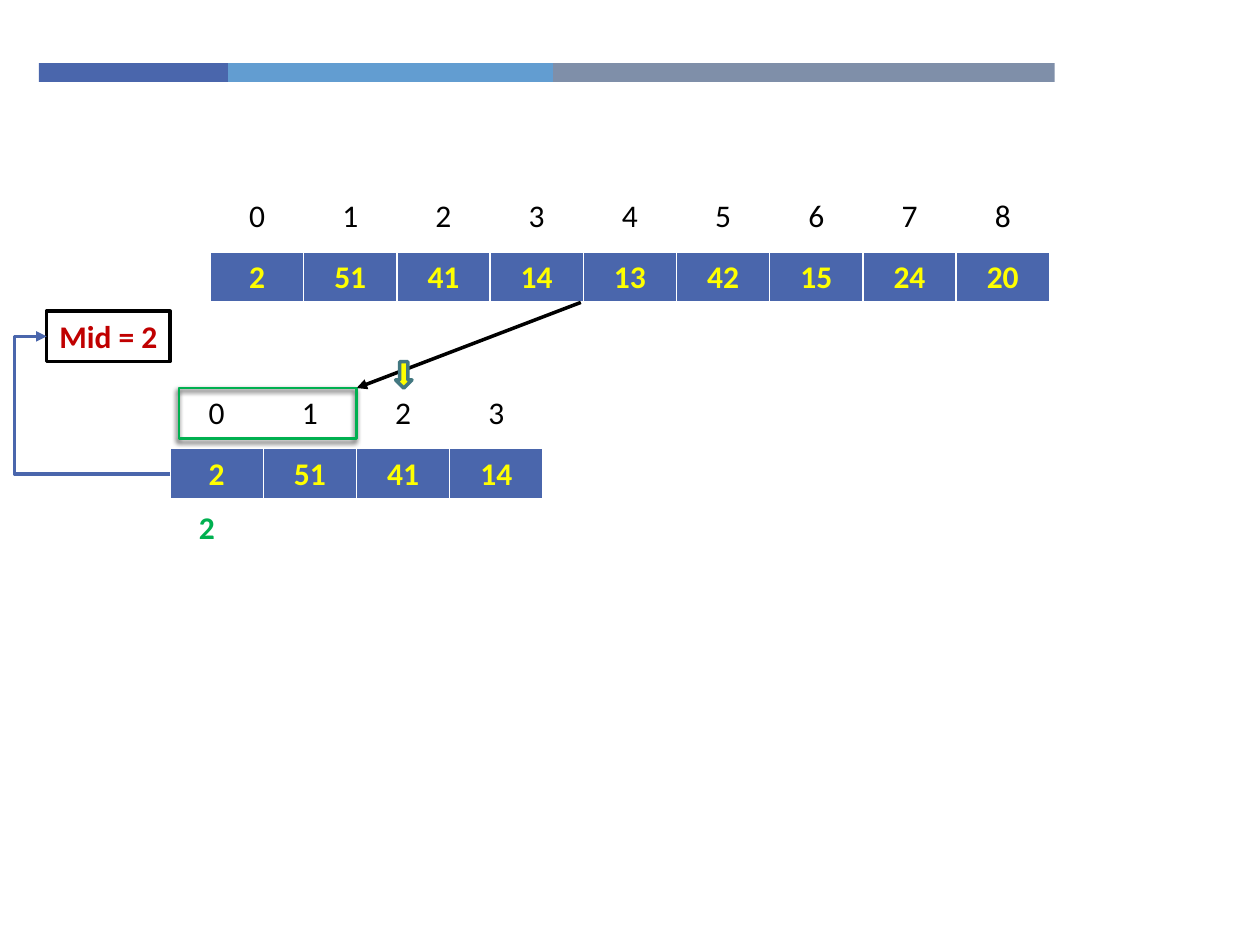
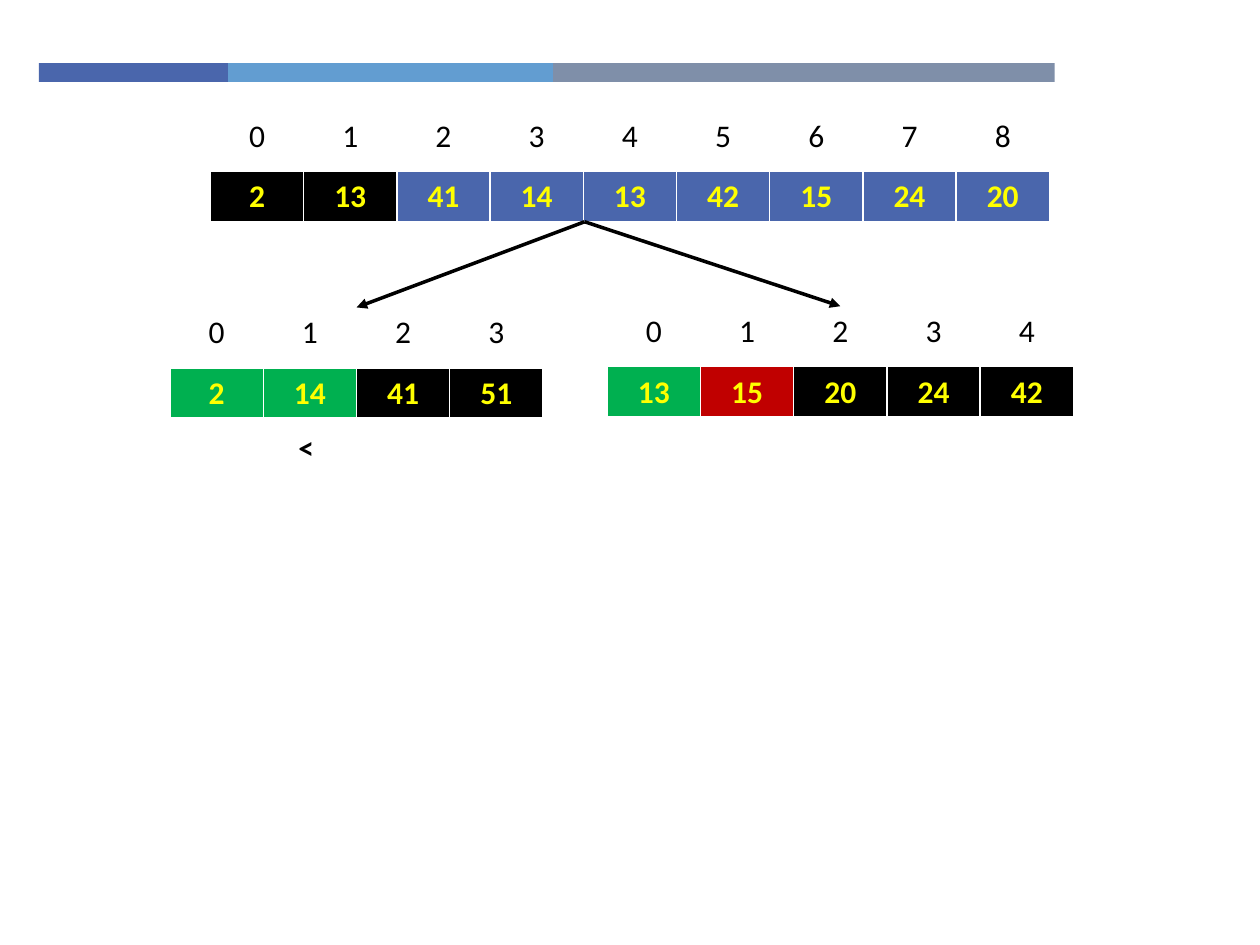
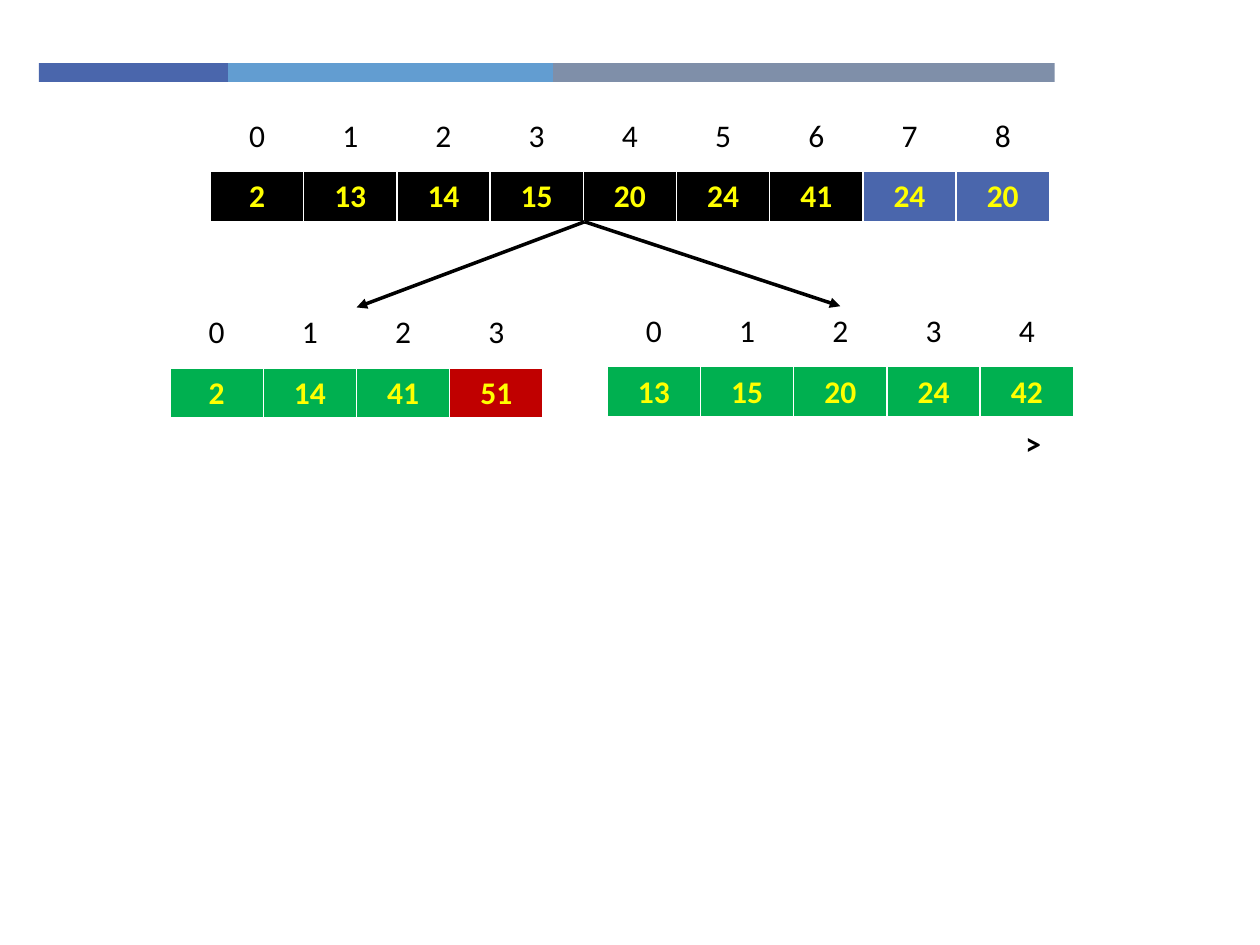
"""Build three slides that trace a merge sort on an array of nine numbers."""
from lxml import etree
from pptx import Presentation, util as u
from pptx.dml.color import RGBColor
from pptx.enum import shapes, text
from pptx.oxml import ns

BLUE = RGBColor(0x4A, 0x66, 0xAC)
SKY = RGBColor(0x62, 0x9D, 0xD1)
SLATE = RGBColor(0x7F, 0x8F, 0xA9)
TEAL = RGBColor(0x43, 0x78, 0x81)
WHITE = RGBColor(0xFF, 0xFF, 0xFF)
BLACK = RGBColor(0x00, 0x00, 0x00)
YELLOW = RGBColor(0xFF, 0xFF, 0x00)
GREEN = RGBColor(0x00, 0xB0, 0x50)
RED = RGBColor(0xC0, 0x00, 0x00)

FONT = "Calibri"
TEXT_SIZE = 18
CELL_WIDTH = 0.74
VALUE_HEIGHT = 0.41
INDEX_HEIGHT = 0.4
INDEX_RISE = 0.48
BAND_LEFT, BAND_TOP, BAND_HEIGHT = 0.31, 0.5, 0.15
BANDS = [(1.5, BLUE), (2.58, SKY), (3.98, SLATE)]
WHOLE_LEFT, LEFT_HALF_LEFT, RIGHT_HALF_LEFT = 1.67, 1.35, 4.82


def child(parent, tag, **attributes):
    return etree.SubElement(parent, ns.qn(tag), attributes)


class Deck:
    """Hold the style and the current slide, and draw each kind of element."""

    def __init__(self):
        self.presentation = Presentation()
        self.presentation.slide_width = u.Inches(10)
        self.presentation.slide_height = u.Inches(7.5)
        self.slide = None

    def start_slide(self):
        self.slide = self.presentation.slides.add_slide(self.presentation.slide_layouts[6])
        left = BAND_LEFT
        for width, color in BANDS:
            self.box(left, BAND_TOP, width, BAND_HEIGHT, fill=color)
            left += width

    def set_words(self, frame, words, color, bold=True, align=text.PP_ALIGN.CENTER):
        frame.text = words
        paragraph = frame.paragraphs[0]
        paragraph.alignment = align
        font = paragraph.runs[0].font
        font.name, font.size, font.bold = FONT, u.Pt(TEXT_SIZE), bold
        font.color.rgb = color

    def box(self, left, top, width, height, fill=None, line=None, weight=2,
            kind=shapes.MSO_SHAPE.RECTANGLE):
        box = self.slide.shapes.add_shape(
            kind, u.Inches(left), u.Inches(top), u.Inches(width), u.Inches(height))
        box.shadow.inherit = False
        if fill is None:
            box.fill.background()
        else:
            box.fill.solid()
            box.fill.fore_color.rgb = fill
        if line is None:
            box.line.fill.background()
        else:
            box.line.color.rgb = line
            box.line.width = u.Pt(weight)
        return box

    def drop_shadow(self, box):
        effects = box._element.spPr.find(ns.qn("a:effectLst"))
        shadow = child(effects, "a:outerShdw", blurRad=str(u.Pt(3)), dist=str(u.Pt(2)),
                       dir=str(110 * 60000), rotWithShape="0")
        color = child(shadow, "a:srgbClr", val=str(BLACK))
        child(color, "a:alpha", val="75000")

    def label(self, left, top, width, words, color):
        label = self.slide.shapes.add_textbox(
            u.Inches(left), u.Inches(top), u.Inches(width), u.Inches(0.4))
        self.set_words(label.text_frame, words, color, align=text.PP_ALIGN.LEFT)
        label.text_frame.word_wrap = True

    def row(self, left, top, height, words, color, bold, fills=None):
        count = len(words)
        table = self.slide.shapes.add_table(
            1, count, u.Inches(left), u.Inches(top),
            u.Inches(CELL_WIDTH * count), u.Inches(height)).table
        table.horz_banding = False
        for column, word in enumerate(words):
            table.columns[column].width = u.Inches(CELL_WIDTH)
            cell = table.cell(0, column)
            cell.vertical_anchor = text.MSO_ANCHOR.MIDDLE
            self.set_words(cell.text_frame, str(word), color, bold)
            self.cell_borders(cell, visible=fills is not None)
            if fills is None:
                cell.fill.background()
            else:
                cell.fill.solid()
                cell.fill.fore_color.rgb = fills[column]

    def cell_borders(self, cell, visible):
        properties = cell._tc.get_or_add_tcPr()
        for side, weight in [("L", 1), ("R", 1), ("T", 1), ("B", 3)]:
            border = child(properties, f"a:ln{side}", w=str(u.Pt(weight)))
            if visible:
                child(child(border, "a:solidFill"), "a:srgbClr", val=str(WHITE))
            else:
                child(border, "a:noFill")

    def array(self, left, top, values, fills):
        self.row(left, top, VALUE_HEIGHT, values, YELLOW, True, fills)
        self.row(left, top - INDEX_RISE, INDEX_HEIGHT, range(len(values)), BLACK, False)

    def arrow(self, start, end, color=BLACK, bend=None):
        kind = shapes.MSO_CONNECTOR.ELBOW if bend else shapes.MSO_CONNECTOR.STRAIGHT
        arrow = self.slide.shapes.add_connector(
            kind, *(u.Inches(length) for length in start + end))
        arrow.line.color.rgb = color
        arrow.line.width = u.Pt(2)
        properties = arrow._element.spPr
        child(properties.find(ns.qn("a:ln")), "a:tailEnd", type="triangle")
        child(properties, "a:effectLst")
        if bend:
            guides = properties.find(ns.qn("a:prstGeom")).find(ns.qn("a:avLst"))
            child(guides, "a:gd", name="adj1", fmla=f"val {round(bend * 100000)}")

    def merge_step(self, merged, merged_fills, left_fills, right_fills):
        self.start_slide()
        self.array(WHOLE_LEFT, 1.36, merged, merged_fills)
        self.array(LEFT_HALF_LEFT, 2.92, [2, 14, 41, 51], left_fills)
        self.array(RIGHT_HALF_LEFT, 2.91, [13, 15, 20, 24, 42], right_fills)
        for half_top in [(2.83, 2.44), (6.67, 2.43)]:
            self.arrow((4.64, 1.76), half_top)


def split_slide(deck):
    deck.start_slide()
    deck.array(WHOLE_LEFT, 2, [2, 51, 41, 14, 13, 42, 15, 24, 20], [BLUE] * 9)
    deck.array(LEFT_HALF_LEFT, 3.56, [2, 51, 41, 14], [BLUE] * 4)
    deck.arrow((4.61, 2.4), (2.83, 3.08))
    middle = deck.box(0.37, 2.47, 0.98, 0.4, fill=WHITE, line=BLACK)
    deck.set_words(middle.text_frame, "Mid = 2", RED)
    middle.text_frame.word_wrap = False
    deck.arrow((1.35, 3.76), (0.37, 2.67), BLUE, bend=1.26)
    deck.box(3.14, 2.87, 0.13, 0.21, YELLOW, TEAL, kind=shapes.MSO_SHAPE.DOWN_ARROW)
    first_half = deck.box(1.42, 3.08, 1.41, 0.4, line=GREEN, weight=1.5)
    deck.drop_shadow(first_half)
    deck.label(1.48, 3.98, 0.38, "2", GREEN)


def main():
    deck = Deck()
    split_slide(deck)
    deck.merge_step([2, 13, 41, 14, 13, 42, 15, 24, 20], [BLACK] * 2 + [BLUE] * 7,
                    [GREEN] * 2 + [BLACK] * 2, [GREEN, RED] + [BLACK] * 3)
    deck.label(2.27, 3.35, 0.29, "<", BLACK)
    deck.merge_step([2, 13, 14, 15, 20, 24, 41, 24, 20], [BLACK] * 7 + [BLUE] * 2,
                    [GREEN] * 3 + [RED], [GREEN] * 5)
    deck.label(8.04, 3.32, 0.29, ">", BLACK)
    deck.presentation.save("out.pptx")


if __name__ == "__main__":
    main()
